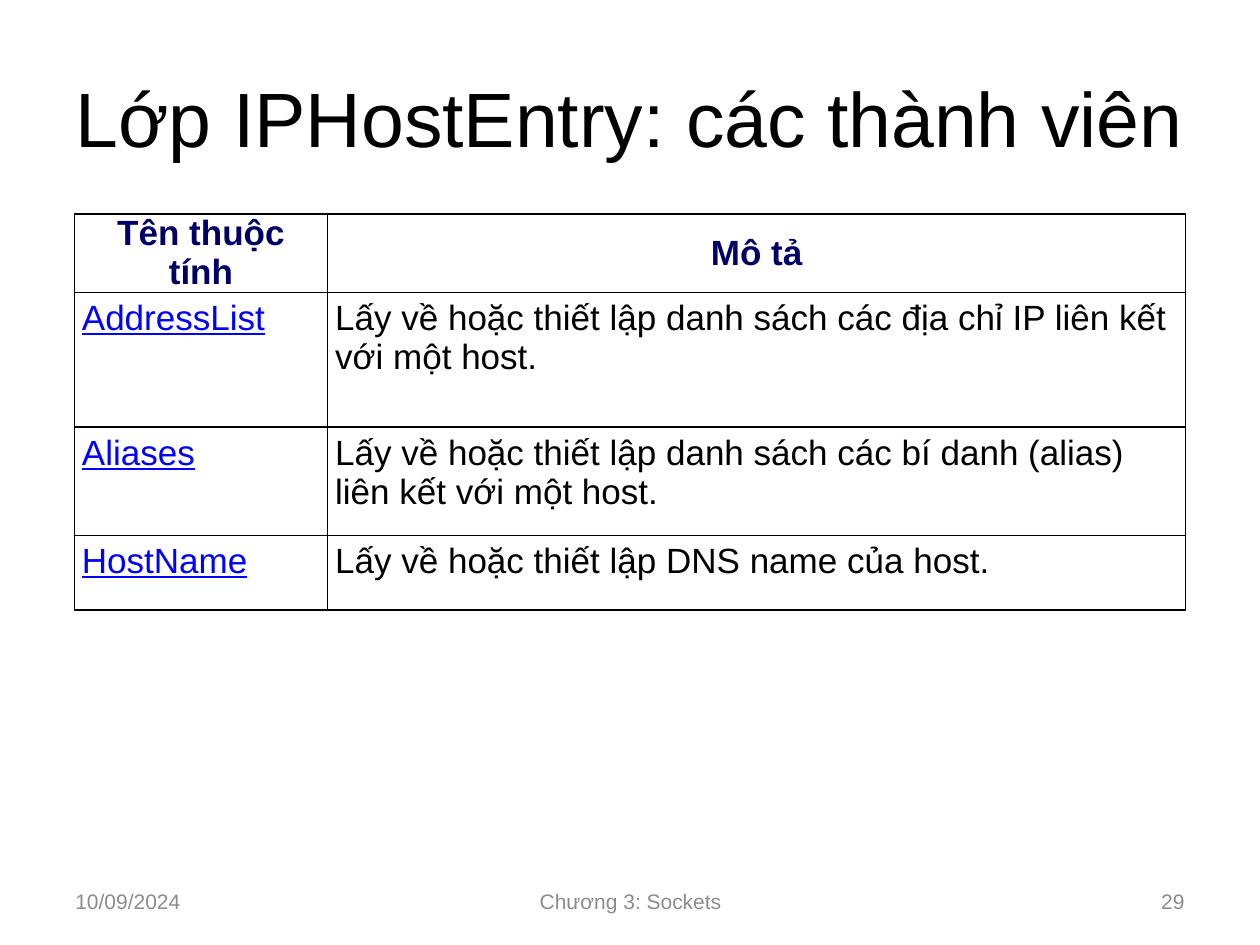
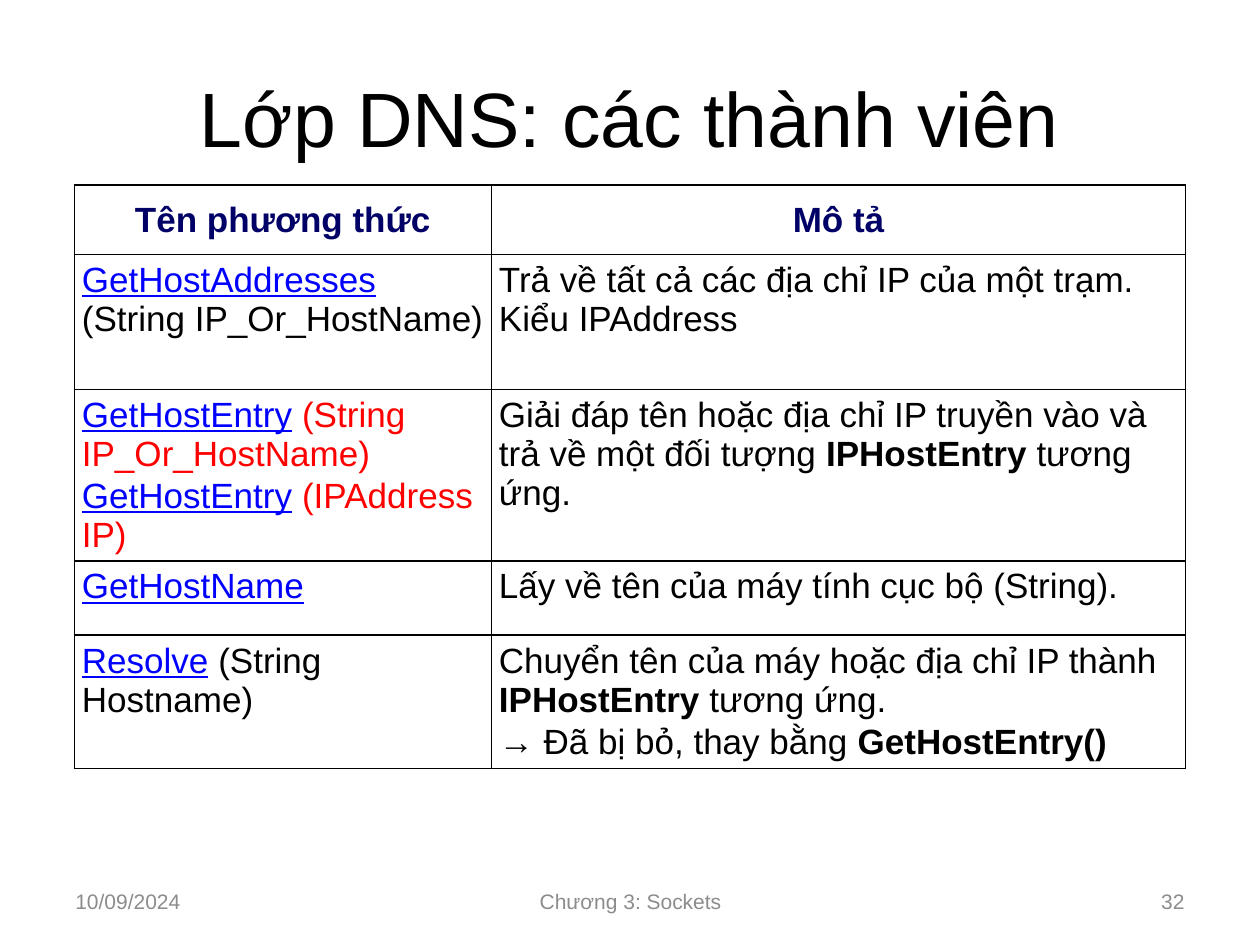
from dataclasses import dataclass

from lxml.etree import SubElement
from pptx import Presentation
from pptx.dml.color import RGBColor
from pptx.enum.text import MSO_ANCHOR, MSO_AUTO_SIZE, PP_ALIGN
from pptx.oxml.ns import qn
from pptx.util import Inches, Pt

COLUMNS, ROWS = 100, 75


@dataclass(frozen=True)
class Theme:
    font: str = "Arial"
    title_size: int = 44
    table_size: int = 20
    footer_size: int = 12
    text: str = "000000"
    heading: str = "000066"
    link: str = "0000FF"
    warning: str = "FF0000"
    footer: str = "8C8C8C"
    background: str = "FFFFFF"
    border: str = "000000"
    border_width: int = 1


class Deck:
    """Holds the theme, the presentation and the slide being built."""

    def __init__(self, theme):
        self.theme = theme
        self.presentation = Presentation()
        self.presentation.slide_width = Inches(10)
        self.presentation.slide_height = Inches(7.5)
        self.slide = None

    def x(self, columns):
        return round(self.presentation.slide_width * columns / COLUMNS)

    def y(self, rows):
        return round(self.presentation.slide_height * rows / ROWS)

    def box(self, left, top, width, height):
        return self.x(left), self.y(top), self.x(width), self.y(height)

    def style(self, run, size, color, bold=False, underline=False):
        font = run.font
        font.name, font.size = self.theme.font, Pt(size)
        font.bold, font.underline = bold, underline
        font.color.rgb = RGBColor.from_string(color)

    def add_slide(self, title, number):
        title_only = self.presentation.slide_layouts[5]
        self.slide = self.presentation.slides.add_slide(title_only)
        self.add_title(title)
        self.add_footer("10/09/2024", 5, 23.3, PP_ALIGN.LEFT)
        self.add_footer("Chương 3: Sockets", 34.2, 31.7, PP_ALIGN.CENTER)
        self.add_footer(str(number), 71.7, 23.3, PP_ALIGN.RIGHT)

    def add_title(self, text):
        shape = self.slide.shapes.title
        shape.left, shape.top, shape.width, shape.height = self.box(5, 3, 90, 12.5)
        self.fill_frame(shape.text_frame, text, PP_ALIGN.CENTER,
                        self.theme.title_size, self.theme.text)

    def add_footer(self, text, left, width, alignment):
        shape = self.slide.shapes.add_textbox(*self.box(left, 69.5, width, 4))
        self.fill_frame(shape.text_frame, text, alignment,
                        self.theme.footer_size, self.theme.footer)

    def fill_frame(self, frame, text, alignment, size, color):
        frame.text = text
        frame.word_wrap = True
        frame.auto_size = MSO_AUTO_SIZE.NONE
        frame.vertical_anchor = MSO_ANCHOR.MIDDLE
        paragraph = frame.paragraphs[0]
        paragraph.alignment = alignment
        self.style(paragraph.runs[0], size, color)

    def add_table(self, top, widths, heights, headings, members):
        """Each member is a row of cells, a cell a list of paragraphs of (text, kind) runs."""
        frame = self.slide.shapes.add_table(
            len(heights), len(widths), *self.box(5.9, top, sum(widths), sum(heights)))
        table = frame.table
        table.first_row = table.horz_banding = False
        for column, width in zip(table.columns, widths):
            column.width = self.x(width)
        for row, height in zip(table.rows, heights):
            row.height = self.y(height)
        for index, heading in enumerate(headings):
            self.fill_heading(table.cell(0, index), heading)
        for row_index, member in enumerate(members, start=1):
            for index, paragraphs in enumerate(member):
                self.fill_cell(table.cell(row_index, index), paragraphs)

    def prepare_cell(self, cell, side, end):
        cell.margin_left = cell.margin_right = Inches(side)
        cell.margin_top = cell.margin_bottom = Inches(end)
        properties = cell._tc.get_or_add_tcPr()
        for edge in ("a:lnL", "a:lnR", "a:lnT", "a:lnB"):
            line = SubElement(properties, qn(edge), w=str(Pt(self.theme.border_width)))
            fill = SubElement(line, qn("a:solidFill"))
            SubElement(fill, qn("a:srgbClr"), val=self.theme.border)
        cell.fill.solid()
        cell.fill.fore_color.rgb = RGBColor.from_string(self.theme.background)

    def fill_heading(self, cell, text):
        self.prepare_cell(cell, 0.07, 0)
        cell.vertical_anchor = MSO_ANCHOR.MIDDLE
        cell.text_frame.text = text
        paragraph = cell.text_frame.paragraphs[0]
        paragraph.alignment = PP_ALIGN.CENTER
        paragraph.space_before = paragraph.space_after = Pt(3.5)
        self.style(paragraph.runs[0], self.theme.table_size, self.theme.heading, bold=True)

    def fill_cell(self, cell, paragraphs):
        self.prepare_cell(cell, 0.05, 0.05)
        frame = cell.text_frame
        for index, runs in enumerate(paragraphs):
            paragraph = frame.add_paragraph() if index else frame.paragraphs[0]
            paragraph.space_before = paragraph.space_after = Pt(0.8)
            paragraph._p.get_or_add_pPr().set("marL", str(Inches(0.01)))
            for text, kind in runs:
                run = paragraph.add_run()
                run.text = text
                color = {"link": self.theme.link, "warning": self.theme.warning}
                self.style(run, self.theme.table_size, color.get(kind, self.theme.text),
                           bold=kind == "bold", underline=kind == "link")


def plain(text):
    return [(text, "plain")]


def signature(name, arguments="", kind="plain"):
    """Linked member name, followed by its arguments."""
    return [(name, "link")] + ([(f" {arguments}", kind)] if arguments else [])


HOST_ENTRY_MEMBERS = [
    ([signature("AddressList")],
     [plain("Lấy về hoặc thiết lập danh sách các địa chỉ IP liên kết với một host.")]),
    ([signature("Aliases")],
     [plain("Lấy về hoặc thiết lập danh sách các bí danh (alias) liên kết với một host.")]),
    ([signature("HostName")],
     [plain("Lấy về hoặc thiết lập DNS name của host.")]),
]

DNS_MEMBERS = [
    ([signature("GetHostAddresses", "(String IP_Or_HostName)")],
     [plain("Trả về tất cả các địa chỉ IP của một trạm. Kiểu IPAddress")]),
    ([signature("GetHostEntry", "(String IP_Or_HostName)", "warning"),
      signature("GetHostEntry", "(IPAddress IP)", "warning")],
     [[("Giải đáp tên hoặc địa chỉ IP truyền vào và trả về một đối tượng ", "plain"),
       ("IPHostEntry ", "bold"), ("tương ứng.", "plain")]]),
    ([signature("GetHostName")],
     [plain("Lấy về tên của máy tính cục bộ (String).")]),
    ([signature("Resolve", "(String Hostname)")],
     [[("Chuyển tên của máy hoặc địa chỉ IP thành ", "plain"),
       ("IPHostEntry", "bold"), (" tương ứng.", "plain")],
      [("→ Đã bị bỏ, thay bằng ", "plain"), ("GetHostEntry()", "bold")]]),
]


def main():
    deck = Deck(Theme())
    deck.add_slide("Lớp IPHostEntry: các thành viên", 29)
    deck.add_table(17, [20.1, 68.1], [6.2, 10.7, 8.6, 5.9],
                   ["Tên thuộc tính", "Mô tả"], HOST_ENTRY_MEMBERS)
    deck.add_slide("Lớp DNS: các thành viên", 32)
    deck.add_table(14.7, [33.1, 55.1], [5.5, 10.7, 13.6, 5.9, 10.6],
                   ["Tên phương thức", "Mô tả"], DNS_MEMBERS)
    deck.presentation.save("out.pptx")


if __name__ == "__main__":
    main()
